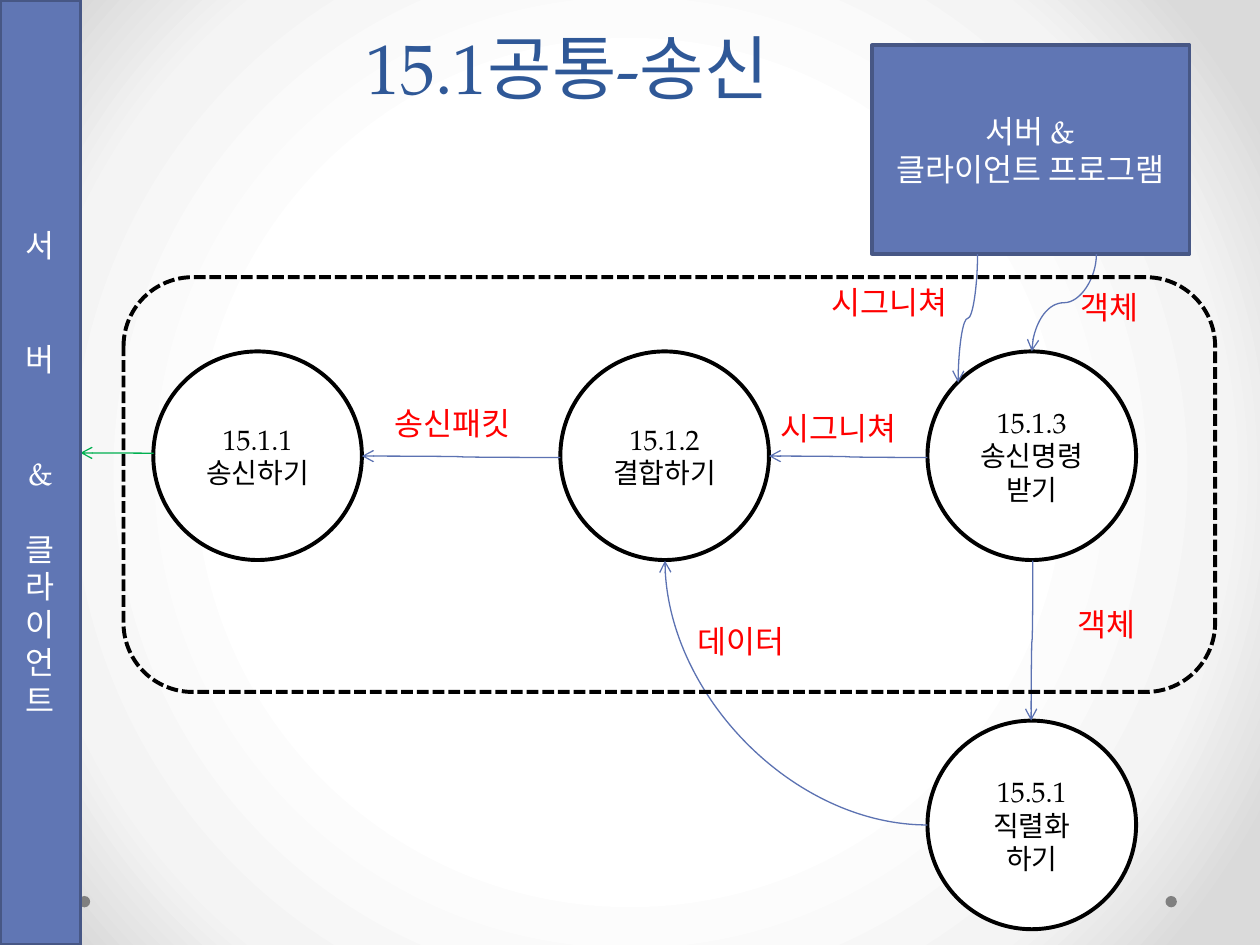
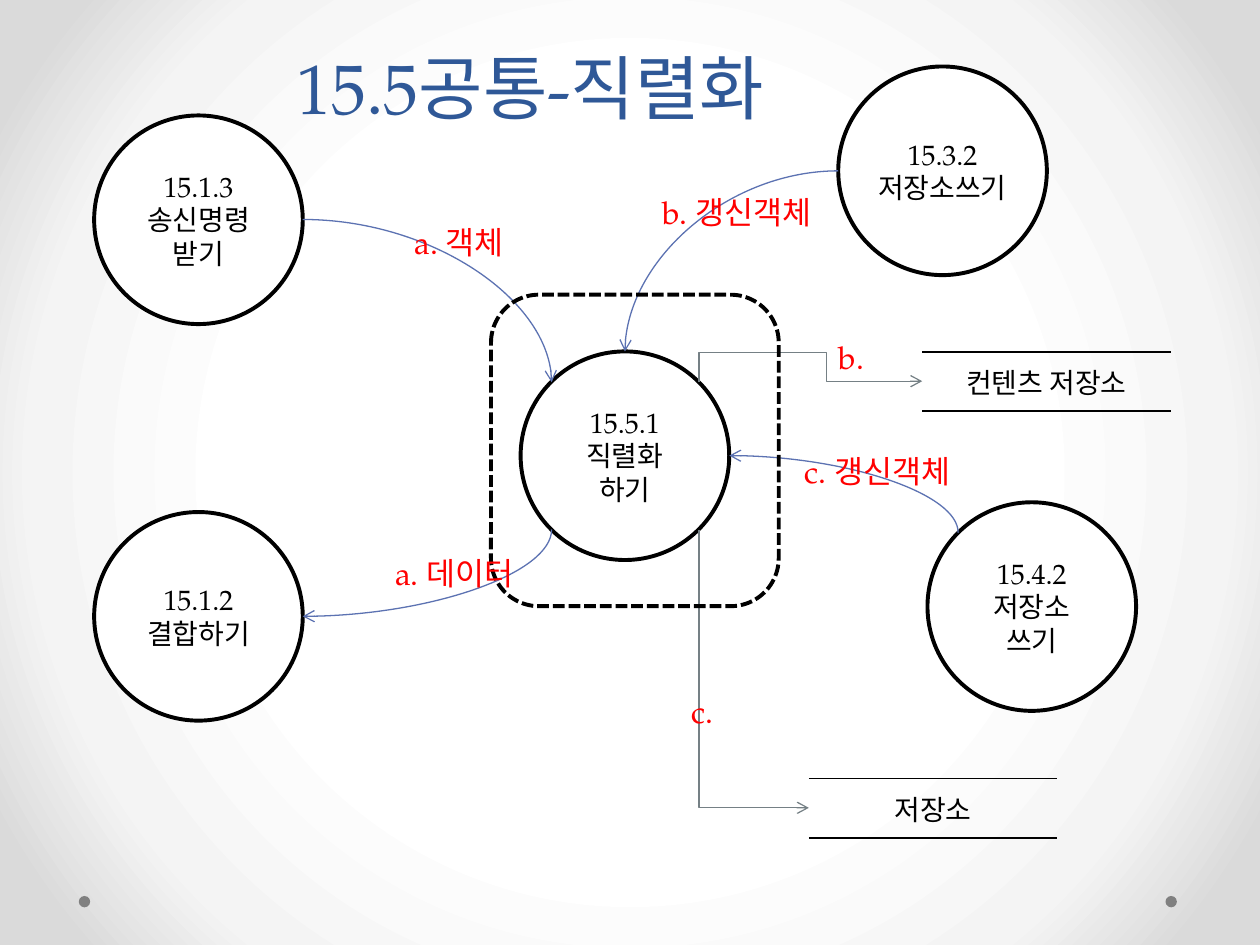
from lxml import etree
from pptx import Presentation
from pptx.dml.color import RGBColor
from pptx.enum import dml, shapes, text
from pptx.oxml import parse_xml
from pptx.oxml.ns import nsdecls, qn
from pptx.util import Pt

# Shared look
FONT = "TeX Gyre Pagella"
BLACK, WHITE, RED, GREEN = "000000", "FFFFFF", "FF0000", "00B050"
TITLE, DOT = "2F5897", "808080"
PANEL, PANEL_EDGE = "6076B4", "475785"
FLOW, STORE_FLOW = "5C72B2", "758085"
GRADIENT = ((50, WHITE), (76, "F4F4F4"), (92, "DADADA"))
DIAMETER = 119.2
HEADING = {"right": 0, "down": 90, "left": 180, "up": 270}


def color(value):
    return RGBColor.from_string(value)


def points(*values):
    return [Pt(value) for value in values]


def write(frame, lines, size, font_color, align=text.PP_ALIGN.CENTER):
    """Fill a text frame with one paragraph for each line."""
    for index, line in enumerate(lines):
        paragraph = frame.paragraphs[0] if index == 0 else frame.add_paragraph()
        paragraph.text = line
        paragraph.alignment = align
        paragraph.font.name = FONT
        paragraph.font.size = Pt(size)
        paragraph.font.color.rgb = color(font_color)


def set_background(master):
    stops = "".join(
        f'<a:gs pos="{position * 1000}"><a:srgbClr val="{value}"/></a:gs>'
        for position, value in GRADIENT)
    background = parse_xml(
        f'<p:bg {nsdecls("p", "a")}><p:bgPr><a:gradFill rotWithShape="1">'
        f'<a:gsLst>{stops}</a:gsLst><a:path path="circle">'
        '<a:fillToRect l="50000" t="50000" r="50000" b="50000"/></a:path>'
        '</a:gradFill><a:effectLst/></p:bgPr></p:bg>')
    content = master.element.find(qn("p:cSld"))
    for old in content.findall(qn("p:bg")):
        content.remove(old)
    content.insert(0, background)


def add_box(slide, kind, box, fill=None, edge=None):
    shape = slide.shapes.add_shape(kind, *points(*box))
    shape.shadow.inherit = False
    if fill:
        shape.fill.solid()
        shape.fill.fore_color.rgb = color(fill)
    else:
        shape.fill.background()
    if edge:
        shape.line.color.rgb = color(edge)
        shape.line.width = Pt(2.25)
    else:
        shape.line.fill.background()
    return shape


def add_slide(presentation, title, box):
    """Start a slide with its title and the two footer dots."""
    slide = presentation.slides.add_slide(presentation.slide_layouts[5])
    shape = slide.shapes.title
    shape.left, shape.top, shape.width, shape.height = points(*box)
    frame = shape.text_frame
    frame.auto_size = text.MSO_AUTO_SIZE.NONE
    frame.vertical_anchor = text.MSO_ANCHOR.BOTTOM
    write(frame, [title], 40, TITLE)
    frame.paragraphs[0].line_spacing = Pt(58)
    for left in (45, 666):
        add_box(slide, shapes.MSO_SHAPE.OVAL, (left, 512, 6.5, 6.5), DOT)
    return slide


def add_process(slide, left, top, *lines):
    box = (left, top, DIAMETER, DIAMETER)
    shape = add_box(slide, shapes.MSO_SHAPE.OVAL, box, WHITE, BLACK)
    frame = shape.text_frame
    frame.margin_left = frame.margin_right = Pt(3)
    frame.margin_top = frame.margin_bottom = Pt(3)
    frame.vertical_anchor = text.MSO_ANCHOR.MIDDLE
    write(frame, lines, 16, BLACK)


def add_panel(slide, box, lines):
    shape = add_box(slide, shapes.MSO_SHAPE.RECTANGLE, box, PANEL, PANEL_EDGE)
    shape.text_frame.vertical_anchor = text.MSO_ANCHOR.MIDDLE
    write(shape.text_frame, lines, 18, WHITE)
    return shape.text_frame


def add_boundary(slide, box):
    shape = add_box(slide, shapes.MSO_SHAPE.ROUNDED_RECTANGLE, box, edge=BLACK)
    # Square dots in DrawingML are the short system dash
    shape.line.dash_style = dml.MSO_LINE.SQUARE_DOT
    shape.line._ln.find(qn("a:prstDash")).set("val", "sysDash")


def add_label(slide, left, top, width, caption):
    shape = slide.shapes.add_textbox(*points(left, top, width, 29))
    shape.text_frame.word_wrap = True
    shape.text_frame.auto_size = text.MSO_AUTO_SIZE.SHAPE_TO_FIT_TEXT
    write(shape.text_frame, [caption], 18, RED, text.PP_ALIGN.LEFT)


def style_arrow(connector, line_color):
    connector.line.color.rgb = color(line_color)
    connector.line.width = Pt(0.75)
    properties = connector.element.spPr
    line = properties.find(qn("a:ln"))
    etree.SubElement(line, qn("a:tailEnd")).set("type", "arrow")
    etree.SubElement(properties, qn("a:effectLst"))


def add_flow(slide, start, end, heading, preset, line_color=FLOW, adjusts=()):
    """Draw a curved or bent arrow that leaves its start in the given heading."""
    (x1, y1), (x2, y2) = start, end
    dx, dy = x2 - x1, y2 - y1
    # The offset as seen along the heading, and across it
    along, across = {"right": (dx, dy), "down": (dy, -dx),
                     "left": (-dx, -dy), "up": (-dy, dx)}[heading]
    width, height = abs(along), abs(across)
    left, top = (x1 + x2 - width) / 2, (y1 + y2 - height) / 2
    kind = shapes.MSO_CONNECTOR.CURVE
    if preset.startswith("bent"):
        kind = shapes.MSO_CONNECTOR.ELBOW
    connector = slide.shapes.add_connector(
        kind, *points(left, top, left + width, top + height))
    frame = connector.element.spPr.find(qn("a:xfrm"))
    frame.set("rot", str(HEADING[heading] * 60000))
    if across < 0:
        frame.set("flipV", "1")
    geometry = connector.element.spPr.find(qn("a:prstGeom"))
    geometry.set("prst", preset)
    for number, value in enumerate(adjusts, 1):
        guide = etree.SubElement(geometry.find(qn("a:avLst")), qn("a:gd"))
        guide.set("name", f"adj{number}")
        guide.set("fmla", f"val {round(value * 100000)}")
    style_arrow(connector, line_color)


def add_store(slide, left, top, caption):
    """Draw a data store: one cell with rules above and below."""
    shape = slide.shapes.add_table(1, 1, *points(left, top, 142, 34))
    table = shape.table
    table.first_row = table.horz_banding = False
    cell = table.cell(0, 0)
    cell.vertical_anchor = text.MSO_ANCHOR.MIDDLE
    write(cell.text_frame, [caption], 16, BLACK)
    properties = cell._tc.get_or_add_tcPr()
    ruled = f'<a:solidFill><a:srgbClr val="{BLACK}"/></a:solidFill>'
    for side in "LRTB":
        fill = ruled if side in "TB" else "<a:noFill/>"
        properties.append(parse_xml(
            f'<a:ln{side} {nsdecls("a")} w="12700">{fill}</a:ln{side}>'))
    cell.fill.background()


def build_sending(presentation):
    slide = add_slide(presentation, "15.1공통-송신", (0, 0, 648, 65.5))
    row = 200.8
    add_process(slide, 87.6, row, "15.1.1", "송신하기")
    add_process(slide, 320.2, row, "15.1.2", "결합하기")
    add_process(slide, 530, row, "15.1.3", "송신명령", "받기")
    add_process(slide, 530, 411.8, "15.5.1", "직렬화", "하기")
    add_panel(slide, (498.2, 26, 181.6, 119), ["서버 &", "클라이언트 프로그램"])

    # Flows between the processes
    curve = "curvedConnector3"
    add_flow(slide, (530, 261.4), (439.4, 260.6), "left", curve)
    add_flow(slide, (320.2, 261.4), (206.8, 260.6), "left", curve)
    add_flow(slide, (590.2, 320.4), (589.2, 411.8), "down", curve)
    add_flow(slide, (530, 471.4), (380, 320.4), "left", "curvedConnector2")
    add_flow(slide, (558.6, 145.2), (547.5, 218.6), "down", curve)
    add_flow(slide, (626.5, 145.2), (589.6, 200.8), "down", curve)
    for label in ((439.2, 230.4, 108, "시그니쳐"),
                  (391.7, 352, 76.3, "데이터"),
                  (468, 158.4, 108, "시그니쳐"),
                  (610.6, 161.2, 61, "객체"),
                  (608.4, 342, 61, "객체"),
                  (218.2, 227.5, 108, "송신패킷")):
        add_label(slide, *label)
    output = slide.shapes.add_connector(
        shapes.MSO_CONNECTOR.STRAIGHT, *points(87.8, 259, 46, 258.8))
    style_arrow(output, GREEN)
    add_boundary(slide, (70.6, 158.4, 623.8, 237))

    # Vertical side panel, its words set apart by paragraph spacing
    frame = add_panel(slide, (0, 0, 46, 540), "서버&클라이언트")
    for index, gap in ((1, 43.4), (2, 43.4), (3, 21.7)):
        frame.paragraphs[index].space_before = Pt(gap)


def build_serializing(presentation):
    slide = add_slide(presentation, "15.5공통-직렬화", (-21, 0, 648, 77))
    add_process(slide, 297.5, 200.8, "15.5.1", "직렬화", "하기")
    add_process(slide, 53.8, 66, "15.1.3", "송신명령", "받기")
    add_process(slide, 53.8, 292.6, "15.1.2", "결합하기")
    add_process(slide, 479, 38, "15.3.2", "저장소쓰기")
    add_process(slide, 530, 287, "15.4.2", "저장소", "쓰기")

    # Flows to and from the central process
    curve = "curvedConnector2"
    add_flow(slide, (173, 125.4), (315.2, 218.4), "right", curve)
    add_flow(slide, (315.2, 302.6), (173, 352.2), "down", curve)
    add_flow(slide, (479, 97.6), (357.1, 200.8), "left", curve)
    add_flow(slide, (547.5, 304.4), (416.7, 260.4), "up", curve)
    add_flow(slide, (399.4, 218.4), (527, 217.8), "up", "bentConnector4",
             STORE_FLOW, (28.88, 0.57))
    add_flow(slide, (399.4, 302.6), (462.2, 461.6), "down", "bentConnector2",
             STORE_FLOW)
    add_boundary(slide, (280.6, 168.4, 164.4, 178))
    for label in ((371.5, 106.5, 108, "b. 갱신객체"),
                  (452.9, 254.8, 112.3, "c. 갱신객체"),
                  (229.7, 123.8, 73.4, "a. 객체"),
                  (218.8, 313.2, 95.8, "a. 데이터"),
                  (472.3, 189.4, 73.4, "b."),
                  (388, 392, 73.4, "c.")):
        add_label(slide, *label)
    add_store(slide, 527, 201, "컨텐츠 저장소")
    add_store(slide, 462.2, 444.8, "저장소")


def main():
    presentation = Presentation()
    presentation.slide_width, presentation.slide_height = points(720, 540)
    set_background(presentation.slide_master)
    build_sending(presentation)
    build_serializing(presentation)
    presentation.save("out.pptx")


main()
